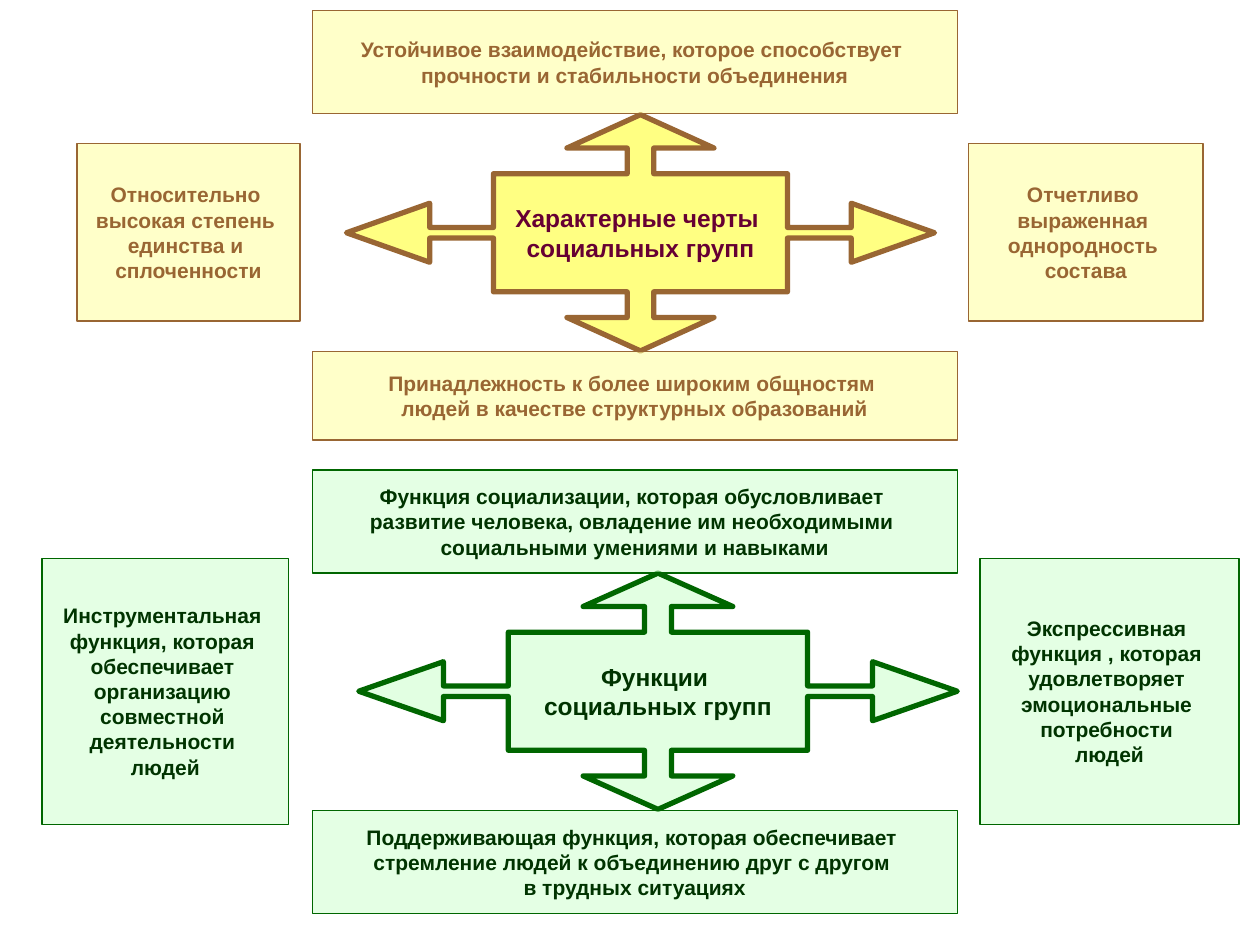
from pptx import Presentation
from pptx.util import Pt
from pptx.dml.color import RGBColor
from pptx.enum.shapes import MSO_SHAPE as Kind
from pptx.enum.text import MSO_ANCHOR as Anchor, PP_ALIGN as Align
from pptx.oxml.ns import qn
from lxml.etree import SubElement

BROWN = RGBColor(0x99, 0x66, 0x33)
PLUM = RGBColor(0x66, 0x00, 0x33)
YELLOW = RGBColor(0xFF, 0xFF, 0x00)
CREAM = RGBColor(0xFF, 0xFF, 0x99)
GREEN = RGBColor(0x00, 0x66, 0x00)
DARK = RGBColor(0x00, 0x33, 0x00)
MINT = RGBColor(0xCC, 0xFF, 0xCC)


def paint(shape, fill, alpha, line, width):
    shape.shadow.inherit = False
    shape.fill.solid()
    shape.fill.fore_color.rgb = fill
    color = shape.fill._xPr.find(qn("a:solidFill"))[0]
    SubElement(color, qn("a:alpha")).set("val", str(alpha * 1000))
    shape.line.color.rgb = line
    shape.line.width = Pt(width)


def write(shape, lines, size, color):
    frame = shape.text_frame
    frame.word_wrap = False
    frame.vertical_anchor = Anchor.MIDDLE
    frame.text = "\n".join(lines)
    for para in frame.paragraphs:
        para.alignment = Align.CENTER
        font = para.font
        font.name, font.size, font.bold = "Arial", Pt(size), True
        font.color.rgb = color


# Upper arm of the four-way arrow, as shares of its half width and height
ARM = [(-0.5, -0.5), (-0.045, -0.5), (-0.045, -0.717), (-0.25, -0.717),
       (0, -1), (0.25, -0.717), (0.045, -0.717), (0.045, -0.5)]

# Each group: arrow (centre, half size, fill, alpha, text), colours, boxes
GROUPS = [
    dict(mid=(366, 133), half=(168, 67.5), fill=YELLOW, alpha=49,
         title=["Характерные черты ", "социальных групп"], ink=PLUM,
         line=BROWN, back=CREAM, text=BROWN, boxes=[
             (44, 82, 127.5, 101.5,
              ["Относительно ", "высокая степень ", "единства и ",
               "сплоченности"]),
             (178.5, 201, 368.5, 50.5,
              ["Принадлежность к более широким общностям ",
               "людей в качестве структурных образований"]),
             (178.5, 6, 368.5, 59,
              ["Устойчивое взаимодействие, которое способствует ",
               "прочности и стабильности объединения"]),
             (553.5, 82, 134, 101.5,
              ["Отчетливо ", "выраженная ", "однородность ", "состава"]),
         ]),
    dict(mid=(376, 395), half=(171, 67.5), fill=MINT, alpha=56,
         title=["Функции ", "социальных групп"], ink=DARK,
         line=GREEN, back=MINT, text=DARK, boxes=[
             (178.5, 268.5, 368.5, 59,
              ["Функция социализации, которая обусловливает ",
               "развитие человека, овладение им необходимыми ",
               "социальными умениями и навыками"]),
             (178.5, 463, 368.5, 59,
              ["Поддерживающая функция, которая обеспечивает ",
               "стремление людей к объединению друг с другом ",
               "в трудных ситуациях"]),
             (24, 319, 141, 152,
              ["Инструментальная ", "функция, которая ", "обеспечивает ",
               "организацию ", "совместной ", "деятельности ", "людей"]),
             (560, 319, 148, 152,
              ["Экспрессивная ", "функция , которая ", "удовлетворяет ",
               "эмоциональные ", "потребности ", "людей"]),
         ]),
]

deck = Presentation()
deck.slide_width, deck.slide_height = Pt(720), Pt(540)
shapes = deck.slides.add_slide(deck.slide_layouts[6]).shapes

for group in GROUPS:
    # Four-way arrow: the arm turned by a quarter four times
    (mx, my), (hw, hh) = group["mid"], group["half"]
    arm, dots = ARM, []
    for turn in range(4):
        dots += [(Pt(mx + x * hw), Pt(my + y * hh)) for x, y in arm]
        arm = [(-y, x) for x, y in arm]
    pen = shapes.build_freeform(*dots[0])
    pen.add_line_segments(dots[1:], close=True)
    arrow = pen.convert_to_shape()
    paint(arrow, group["fill"], group["alpha"], group["line"], 3)
    write(arrow, group["title"], 14, group["ink"])

    # Boxes around the arrow
    for *place, lines in group["boxes"]:
        box = shapes.add_shape(Kind.RECTANGLE, *map(Pt, place))
        paint(box, group["back"], 53, group["line"], 0.75)
        write(box, lines, 12, group["text"])

deck.save("out.pptx")
